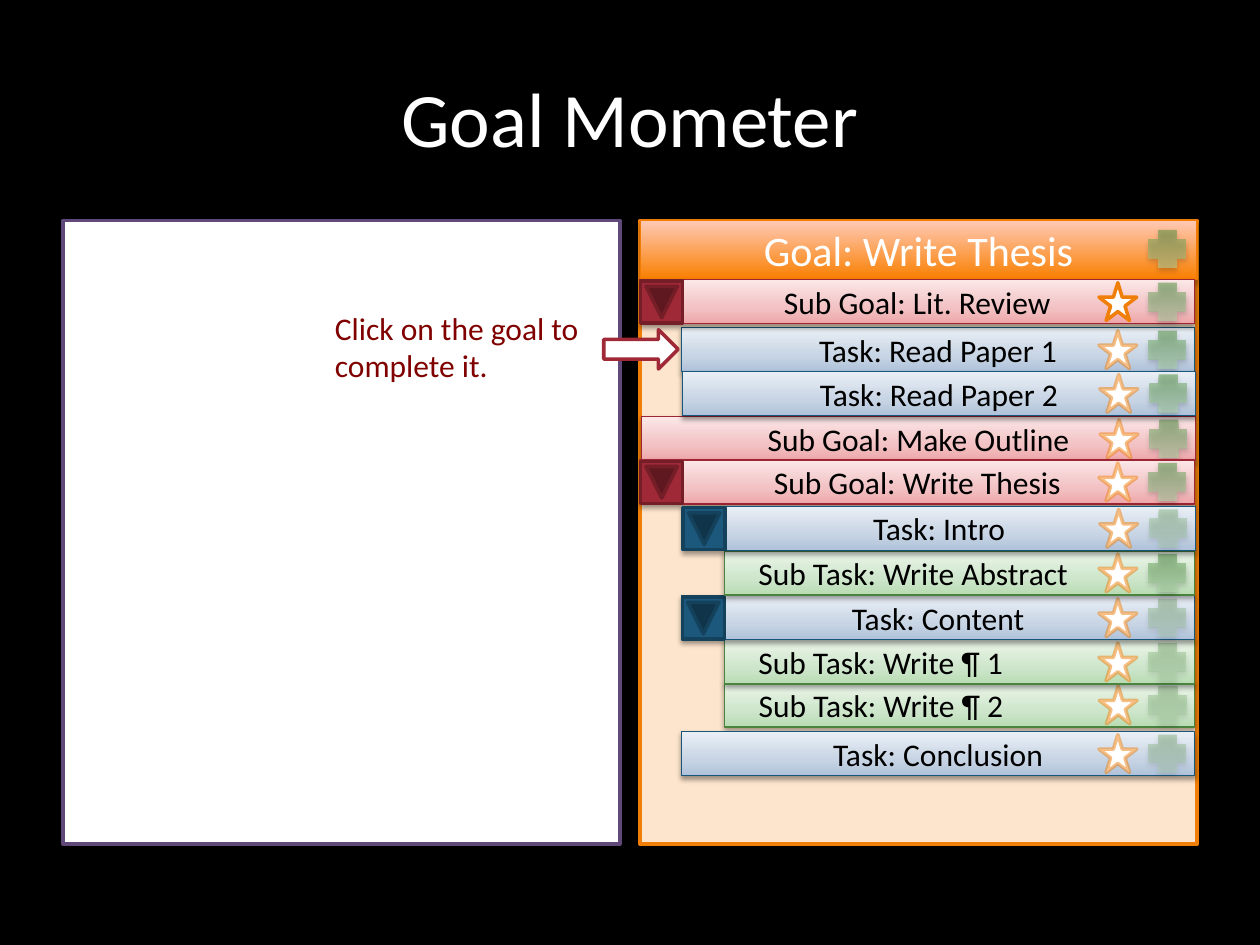
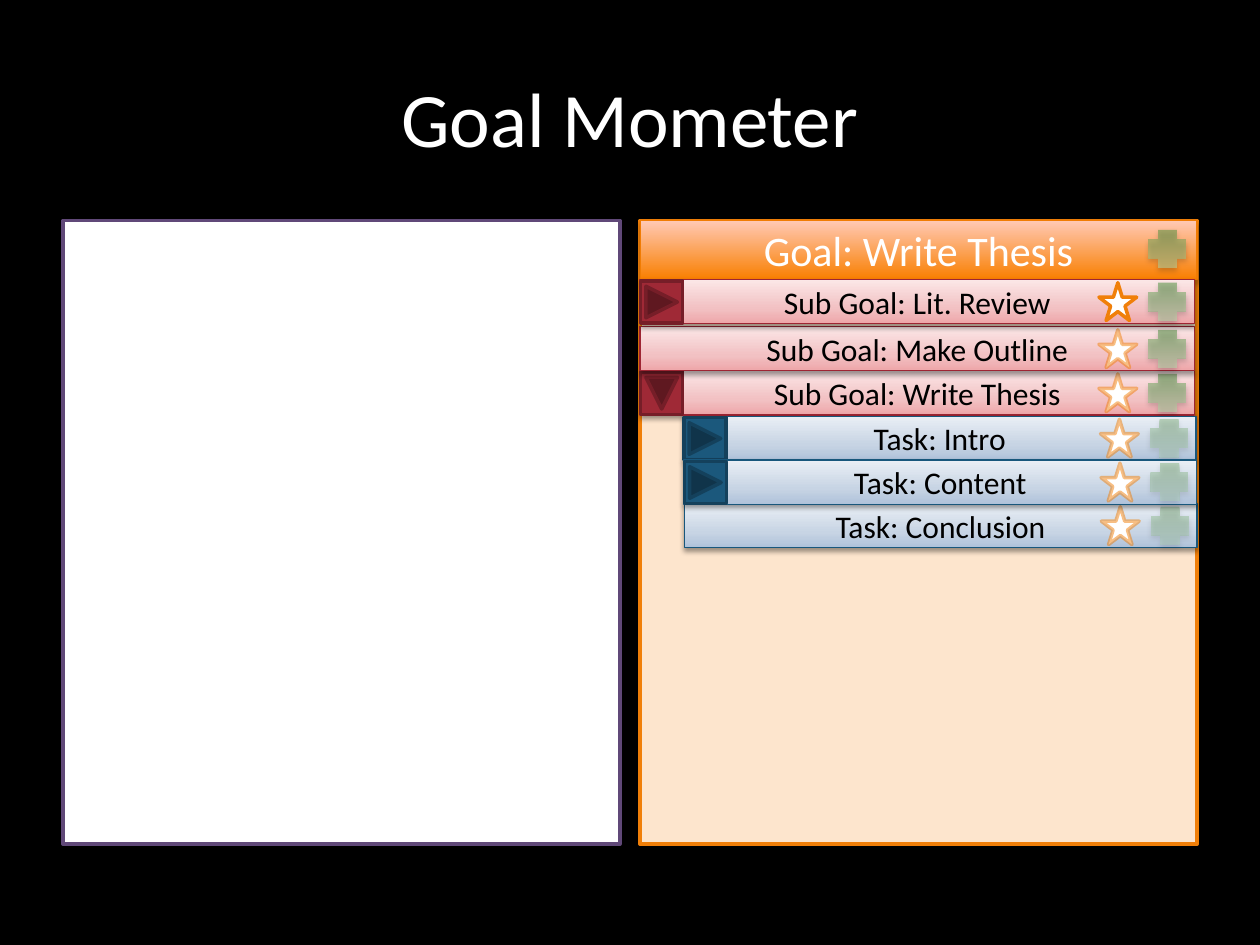
from lxml import etree
from pptx import Presentation
from pptx.dml.color import RGBColor
from pptx.enum.shapes import MSO_SHAPE
from pptx.enum.text import MSO_ANCHOR, PP_ALIGN
from pptx.oxml import parse_xml
from pptx.oxml.ns import nsdecls, qn
from pptx.util import Pt

RECTANGLE, PLUS, STAR = MSO_SHAPE.RECTANGLE, MSO_SHAPE.CROSS, MSO_SHAPE.STAR_5_POINT
BUTTON, DOWN_ARROW = MSO_SHAPE.ACTION_BUTTON_FORWARD_OR_NEXT, MSO_SHAPE.DOWN_ARROW
CENTER, LEFT, MIDDLE = PP_ALIGN.CENTER, PP_ALIGN.LEFT, MSO_ANCHOR.MIDDLE

# Content: rows from back to front
# (level, text, top, shift, button state, plus opacity, star opacity)
TITLE = "Goal Mometer"
GOAL = "Goal: Write Thesis"
HINT = "Click on the goal to complete it."
OPEN, CLOSED = 90, 0  # rotation of the row's button

EXPANDED_ROWS = [
    ("sub task", "Sub Task: Write ¶ 2", 390.2, 0.2, None, 30, 50),
    ("sub task", "Sub Task: Write ¶ 1", 365.6, 0, None, 30, 50),
    ("task", "Task: Content", 340.4, 0, OPEN, 30, 50),
    ("task", "Task: Conclusion", 418, 0, None, 30, 50),
    ("sub task", "Sub Task: Write Abstract", 314.8, 0, None, 50, 50),
    ("sub goal", "Sub Goal: Make Outline", 238.1, 0.7, None, 50, 50),
    ("task", "Task: Read Paper 1", 187.2, 0, None, 50, 50),
    ("sub goal", "Sub Goal: Lit. Review", 159.8, 0, OPEN, 50, 100),
    ("task", "Task: Read Paper 2", 212.2, 0.5, None, 50, 50),
    ("sub goal", "Sub Goal: Write Thesis", 262.8, 0, OPEN, 50, 50),
    ("task", "Task: Intro", 289.3, 0.5, OPEN, 30, 50),
]
COLLAPSED_ROWS = [
    ("sub goal", "Sub Goal: Write Thesis", 211.9, 0, OPEN, 50, 50),
    ("task", "Task: Conclusion", 287.8, 1.4, None, 30, 50),
    ("task", "Task: Intro", 237.8, 0.9, CLOSED, 30, 50),
    ("task", "Task: Content", 262.9, 1.2, CLOSED, 30, 50),
    ("sub goal", "Sub Goal: Make Outline", 186.7, 0, None, 50, 50),
    ("sub goal", "Sub Goal: Lit. Review", 159.8, 0, CLOSED, 50, 100),
]

# Shared style
FONT = "Calibri"
BLACK = RGBColor(0x00, 0x00, 0x00)
WHITE = RGBColor(0xFF, 0xFF, 0xFF)
PURPLE = RGBColor(0x60, 0x48, 0x78)
ORANGE = RGBColor(0xF0, 0x7F, 0x09)
GOAL_LINE = RGBColor(0xF0, 0x7C, 0x03)
PEACH = RGBColor(0xFD, 0xE5, 0xCD)
MAROON = RGBColor(0x80, 0x00, 0x00)
RED = RGBColor(0x9F, 0x29, 0x36)
RED_LINE = RGBColor(0x9E, 0x25, 0x33)
DARK_RED = RGBColor(0x76, 0x1E, 0x28)
BLUE = RGBColor(0x1B, 0x58, 0x7C)
BLUE_LINE = RGBColor(0x18, 0x57, 0x7C)
DARK_BLUE = RGBColor(0x14, 0x41, 0x5C)
GREEN_LINE = RGBColor(0x4B, 0x84, 0x3F)

# Gradients run from the bottom up: (position, colour)
GOAL_FADE = [(0, "F97F00"), (100, "FFC9B5")]
PLUS_FADE = [(0, "488F38"), (100, "B5DFAF")]
RED_FADE = [(0, "EEA6A9"), (35, "F2C1C3"), (100, "FBE7E7")]
BLUE_FADE = [(0, "AFC2DA"), (35, "C7D4E4"), (100, "EAEFF5")]
GREEN_FADE = [(0, "B8DCB3"), (35, "CDE5CA"), (100, "ECF6EA")]

# Each level: left, text inset, alignment, fade, line, button fill, button line
LEVELS = {
    "sub goal": (365.8, 7.2, CENTER, RED_FADE, RED_LINE, RED, DARK_RED),
    "task": (389.6, 7.2, CENTER, BLUE_FADE, BLUE_LINE, BLUE, DARK_BLUE),
    "sub task": (414, 19.4, LEFT, GREEN_FADE, GREEN_LINE, None, None),
}
ROW_RIGHT, ROW_HEIGHT = 682.6, 25.2
ICON, BUTTON_SIZE = 21.6, 24
PLUS_OFFSET, STAR_OFFSET = 26.2, 54.6  # back from the row's right edge
PANEL_TOP, PANEL_WIDTH, PANEL_HEIGHT = 126, 318.2, 356.4
GOAL_LEFT, GOAL_HEIGHT = 365.8, 33.8


def add_gradient(shape, stops, opacity=100):
    shape.fill.background()
    stop_xml = "".join(
        f'<a:gs pos="{position * 1000}"><a:srgbClr val="{colour}">'
        f'<a:alpha val="{opacity * 1000}"/></a:srgbClr></a:gs>'
        for position, colour in stops)
    gradient = parse_xml(
        f'<a:gradFill {nsdecls("a")} rotWithShape="1"><a:gsLst>{stop_xml}</a:gsLst>'
        '<a:lin ang="16200000" scaled="0"/></a:gradFill>')
    properties = shape._element.spPr
    properties.replace(properties.find(qn("a:noFill")), gradient)


def add_shadow(shape, opacity, distance):
    effects = shape._element.spPr.find(qn("a:effectLst"))
    effects.append(parse_xml(
        f'<a:outerShdw {nsdecls("a")} blurRad="{Pt(3.1)}" dist="{Pt(distance)}" '
        'dir="5400000" rotWithShape="0"><a:srgbClr val="000000">'
        f'<a:alpha val="{opacity * 1000}"/></a:srgbClr></a:outerShdw>'))


def flip_vertically(shape):
    shape._element.spPr.find(qn("a:xfrm")).set("flipV", "1")


def add_figure(parent, kind, left, top, width, height, fill=None, line=None, weight=2):
    shape = parent.shapes.add_shape(kind, Pt(left), Pt(top), Pt(width), Pt(height))
    shape.shadow.inherit = False
    if fill is not None:
        shape.fill.solid()
        shape.fill.fore_color.rgb = fill
    if line is None:
        shape.line.fill.background()
    else:
        shape.line.color.rgb = line
        shape.line.width = Pt(weight)
    return shape


def write(shape, text, size, colour, align=CENTER, anchor=MIDDLE):
    frame = shape.text_frame
    frame.word_wrap = True
    frame.vertical_anchor = anchor
    frame.text = text
    para = frame.paragraphs[0]
    para.alignment = align
    para.font.name = FONT
    para.font.size = Pt(size)
    para.font.color.rgb = colour


def add_text(page, left, top, width, height, *style, **layout):
    box = page.shapes.add_textbox(Pt(left), Pt(top), Pt(width), Pt(height))
    write(box, *style, **layout)


def add_plus(parent, left, top, opacity):
    plus = add_figure(parent, PLUS, left, top, ICON, ICON)
    add_gradient(plus, PLUS_FADE, opacity)
    add_shadow(plus, 35, 1.8)
    flip_vertically(plus)


def add_star(parent, left, top, opacity):
    star = add_figure(parent, STAR, left, top, ICON, ICON, WHITE, ORANGE)
    if opacity < 100:
        colour = star.line._ln.find(".//" + qn("a:srgbClr"))
        etree.SubElement(colour, qn("a:alpha")).set("val", str(opacity * 1000))


def add_row(page, level, text, top, shift, turn, plus_opacity, star_opacity):
    left, inset, align, fade, line, button_fill, button_line = LEVELS[level]
    row = page.shapes.add_group_shape()
    bar = add_figure(row, RECTANGLE, left + shift, top, ROW_RIGHT - left, ROW_HEIGHT,
                     line=line, weight=0.75)
    add_gradient(bar, fade)
    add_shadow(bar, 38, 1.6)
    write(bar, text, 18, BLACK, align)
    bar.text_frame.margin_left = Pt(inset)

    right = ROW_RIGHT + shift
    icon_top = top + (ROW_HEIGHT - ICON) / 2
    add_plus(row, right - PLUS_OFFSET, icon_top, plus_opacity)
    add_star(row, right - STAR_OFFSET, icon_top, star_opacity)
    if turn is not None:
        button = add_figure(row, BUTTON, left + shift + 0.3, top + 0.8, BUTTON_SIZE,
                            BUTTON_SIZE, button_fill, button_line)
        button.rotation = turn


def add_page(deck, rows):
    page = deck.slides.add_slide(deck.slide_layouts[6])
    page.background.fill.solid()
    page.background.fill.fore_color.rgb = BLACK

    # Title and the two panels
    add_figure(page, RECTANGLE, 36, PANEL_TOP, PANEL_WIDTH, PANEL_HEIGHT, WHITE, PURPLE)
    add_text(page, 36, 21.6, 648, 90, TITLE, 44, WHITE)
    add_figure(page, RECTANGLE, GOAL_LEFT, PANEL_TOP, PANEL_WIDTH, PANEL_HEIGHT,
               PEACH, ORANGE)

    # Goal header
    header = add_figure(page, RECTANGLE, GOAL_LEFT, PANEL_TOP, PANEL_WIDTH, GOAL_HEIGHT,
                        line=GOAL_LINE, weight=0.75)
    add_gradient(header, GOAL_FADE)
    add_shadow(header, 35, 1.8)
    write(header, GOAL, 24, WHITE)
    add_plus(page, ROW_RIGHT - PLUS_OFFSET, 131.4, 50)

    for row in rows:
        add_row(page, *row)
    return page


def main():
    deck = Presentation()
    deck.slide_width, deck.slide_height = Pt(720), Pt(540)

    # Expanded list with the hint and its arrow
    page = add_page(deck, EXPANDED_ROWS)
    add_text(page, 184.3, 172.8, 172.8, 51, HINT, 18, MAROON,
             align=LEFT, anchor=MSO_ANCHOR.TOP)
    arrow = add_figure(page, DOWN_ARROW, 355, 178.4, 22.5, 42.5, WHITE, RED)
    arrow.rotation = 90
    flip_vertically(arrow)

    # Collapsed list
    add_page(deck, COLLAPSED_ROWS)
    deck.save("out.pptx")


if __name__ == "__main__":
    main()
